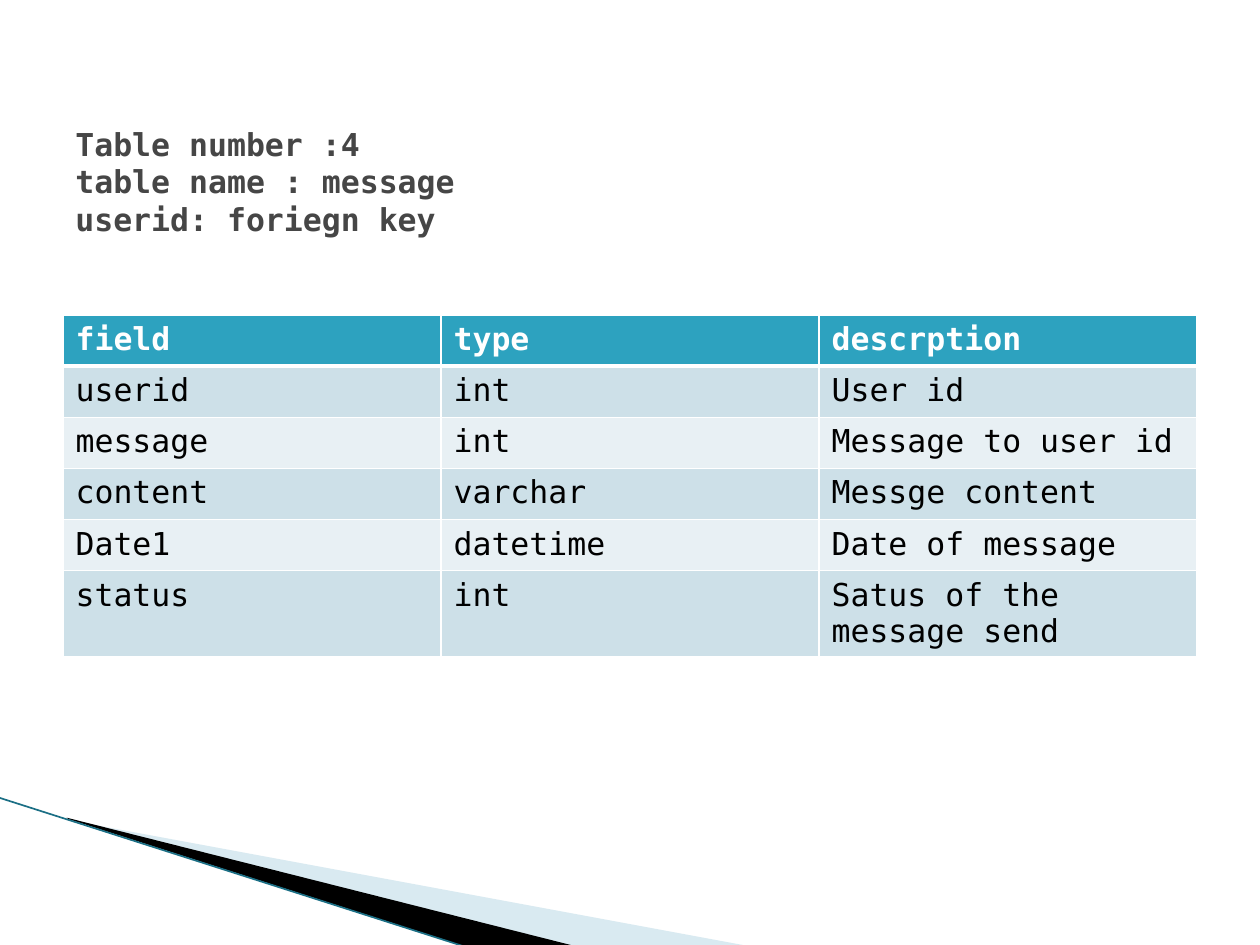
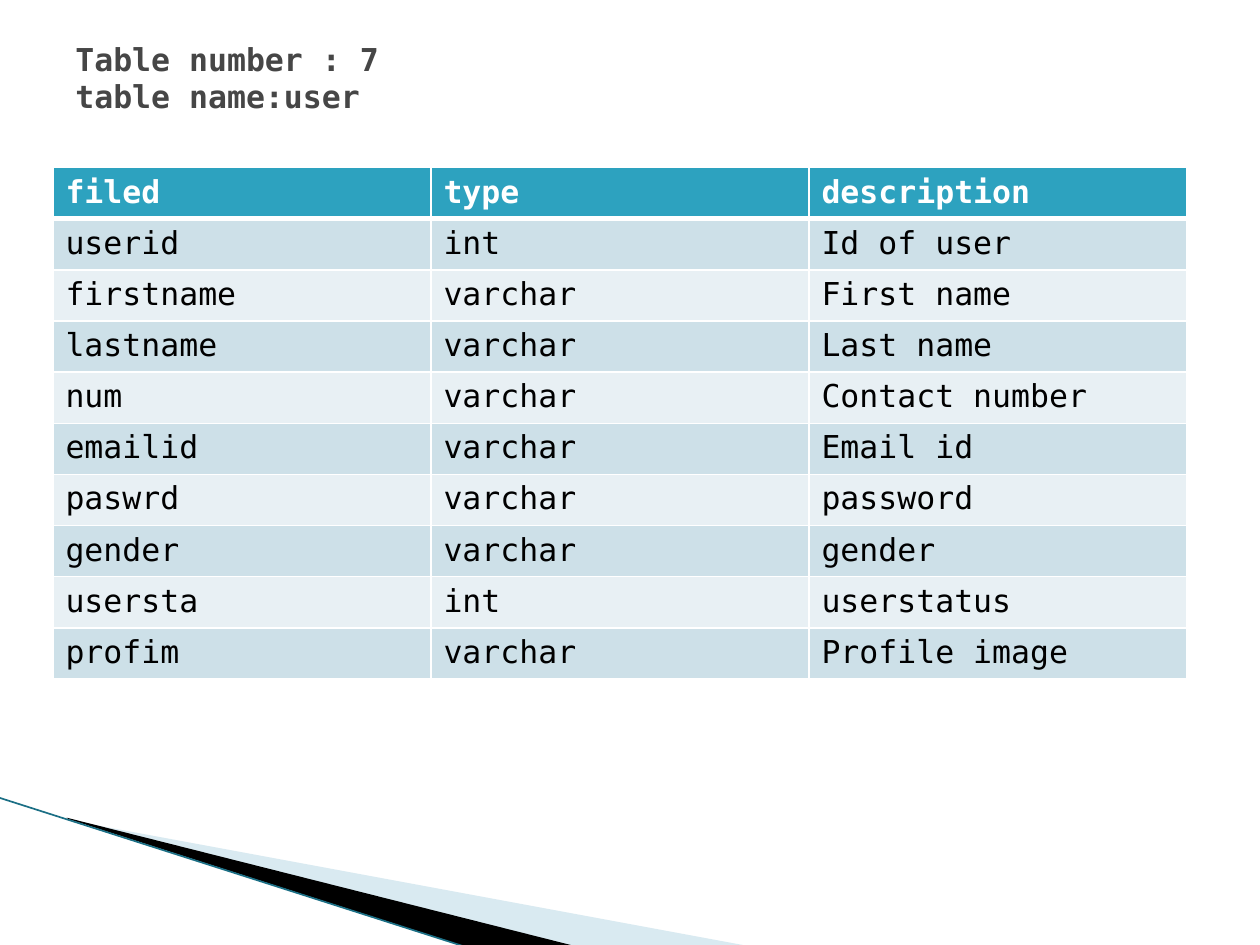
from dataclasses import dataclass

from pptx import Presentation
from pptx.dml.color import RGBColor
from pptx.enum.shapes import MSO_CONNECTOR as Connector
from pptx.enum.text import MSO_ANCHOR as Anchor
from pptx.oxml.ns import qn
from pptx.util import Inches, Length, Pt
from lxml.etree import SubElement

FONT = "DejaVu Sans Mono"
TEXT_SIZE = Pt(18)
WHITE, BLACK = "FFFFFF", "000000"
TITLE_GREY = "464646"
HEADER_TEAL = "2DA2BF"
ROW_FILLS = ("CDE0E8", "E8F0F4")
EDGE_TEAL = "1B6F85"
COLUMN_WIDTH = Inches(3)
ROW_HEIGHT = Inches(4.06) // 10


@dataclass(frozen=True)
class Wedge:
    """A filled corner shape: its frame and its outline, which may leave the frame."""
    left: Length
    top: Length
    width: Length
    height: Length
    points: tuple[tuple[float, float], ...]
    color: str
    opacity: int = 100


@dataclass(frozen=True)
class Title:
    """A heading, its place and the room kept free below its lines."""
    lines: tuple[str, ...]
    top: Length
    width: Length
    height: Length
    space_below: Length


@dataclass(frozen=True)
class TablePage:
    """One database table with its heading."""
    title: Title
    left: Length
    top: Length
    rows: tuple[tuple[str, str, str], ...]


WEDGES = (
    Wedge(Inches(0.78), Inches(5.47), Inches(4.16), Inches(1.58),
          ((0.55, 6.51), (5.95, 7.51), (4.56, 7.51), (0.55, 6.5)), "A0CBDC", 40),
    Wedge(Inches(-0.06), Inches(6.33), Inches(4.16), Inches(0.92),
          ((0.53, 6.49), (4.57, 7.51), (3.72, 7.52), (0.54, 6.5)), BLACK),
)

PAGES = (
    TablePage(
        Title(("Table number :4", "table name : message", "userid: foriegn key"),
              Inches(0.83), Inches(8.83), Inches(1.5), Inches(0.33)),
        Inches(0.5), Inches(2.5),
        (
            ("field", "type", "descrption"),
            ("userid", "int", "User id"),
            ("message", "int", "Message to user id"),
            ("content", "varchar", "Messge content"),
            ("Date1", "datetime", "Date of message"),
            ("status", "int", "Satus of the message send"),
        ),
    ),
    TablePage(
        Title(("Table number : 7", "table name:user"),
              Inches(0.3), Inches(9), Inches(1.25), Inches(0.67)),
        Inches(0.42), Inches(1.33),
        (
            ("filed", "type", "description"),
            ("userid", "int", "Id of user"),
            ("firstname", "varchar", "First name"),
            ("lastname", "varchar", "Last name"),
            ("num", "varchar", "Contact number"),
            ("emailid", "varchar", "Email id"),
            ("paswrd", "varchar", "password"),
            ("gender", "varchar", "gender"),
            ("usersta", "int", "userstatus"),
            ("profim", "varchar", "Profile image"),
        ),
    ),
)


def rgb(color: str) -> RGBColor:
    """Turn a hex string into a colour."""
    return RGBColor.from_string(color)


def style_text(frame, color: str, bold: bool) -> None:
    """Set the shared font on every paragraph."""
    for para in frame.paragraphs:
        para.font.name = FONT
        para.font.size = TEXT_SIZE
        para.font.bold = bold
        para.font.color.rgb = rgb(color)


def set_frame(shape, wedge: Wedge) -> None:
    """Give a freeform the wedge's frame while its outline stays in place."""
    shift_x, shift_y = shape.left - wedge.left, shape.top - wedge.top
    for outline in shape._element.iter(qn("a:path")):
        outline.set("w", str(wedge.width))
        outline.set("h", str(wedge.height))
        for point in outline.iter(qn("a:pt")):
            point.set("x", str(int(point.get("x")) + shift_x))
            point.set("y", str(int(point.get("y")) + shift_y))
    shape.left, shape.top = wedge.left, wedge.top
    shape.width, shape.height = wedge.width, wedge.height


def draw_wedge(page, wedge: Wedge) -> None:
    """Draw one corner wedge."""
    start, *others = [(Inches(x), Inches(y)) for x, y in wedge.points]
    builder = page.shapes.build_freeform(*start)
    builder.add_line_segments(others, close=True)
    shape = builder.convert_to_shape()
    set_frame(shape, wedge)
    shape.shadow.inherit = False
    shape.line.fill.background()
    shape.fill.solid()
    shape.fill.fore_color.rgb = rgb(wedge.color)
    if wedge.opacity < 100:
        fill_color = shape.fill._xPr.find(qn("a:solidFill"))[0]
        SubElement(fill_color, qn("a:alpha"), val=str(wedge.opacity * 1000))


def draw_corner(page) -> None:
    """Draw the wedges and the thin edge at the bottom left."""
    for wedge in WEDGES:
        draw_wedge(page, wedge)
    edge = page.shapes.add_connector(
        Connector.STRAIGHT, Inches(-0.01), Inches(6.33), Inches(3.71), Inches(7.52))
    edge.line.color.rgb = rgb(EDGE_TEAL)
    edge.line.width = Pt(0.95)
    SubElement(edge._element.spPr, qn("a:effectLst"))


def set_borders(cell, top: Length, bottom: Length) -> None:
    """Give a cell white borders."""
    properties = cell._tc.get_or_add_tcPr()
    widths = {"lnL": Pt(1), "lnR": Pt(1), "lnT": top, "lnB": bottom}
    for side, width in widths.items():
        line = SubElement(properties, qn(f"a:{side}"), w=str(width))
        fill = SubElement(line, qn("a:solidFill"))
        SubElement(fill, qn("a:srgbClr"), val=WHITE)


def draw_table(page, content: TablePage) -> None:
    """Draw the field table with a header and alternating rows."""
    row_count, column_count = len(content.rows), len(content.rows[0])
    table = page.shapes.add_table(
        row_count, column_count, content.left, content.top,
        COLUMN_WIDTH * column_count, ROW_HEIGHT * row_count).table
    for row_index, texts in enumerate(content.rows):
        header = row_index == 0
        fill = HEADER_TEAL if header else ROW_FILLS[(row_index - 1) % 2]
        for column_index, text in enumerate(texts):
            cell = table.cell(row_index, column_index)
            cell.text = text
            style_text(cell.text_frame, WHITE if header else BLACK, header)
            set_borders(cell, Pt(3 if row_index == 1 else 1), Pt(3 if header else 1))
            cell.fill.solid()
            cell.fill.fore_color.rgb = rgb(fill)


def draw_title(page, title: Title) -> None:
    """Write the heading above the table."""
    box = page.shapes.add_textbox(Inches(0.5), title.top, title.width, title.height)
    frame = box.text_frame
    frame.word_wrap = True
    frame.vertical_anchor = Anchor.MIDDLE
    frame.margin_bottom = title.space_below
    frame.text = "\v".join(title.lines)
    style_text(frame, TITLE_GREY, True)


def main() -> None:
    """Build and save the deck."""
    deck = Presentation()
    deck.slide_width, deck.slide_height = Inches(10), Inches(7.5)
    for content in PAGES:
        page = deck.slides.add_slide(deck.slide_layouts[6])
        draw_corner(page)
        draw_table(page, content)
        draw_title(page, content.title)
    deck.save("out.pptx")


if __name__ == "__main__":
    main()
